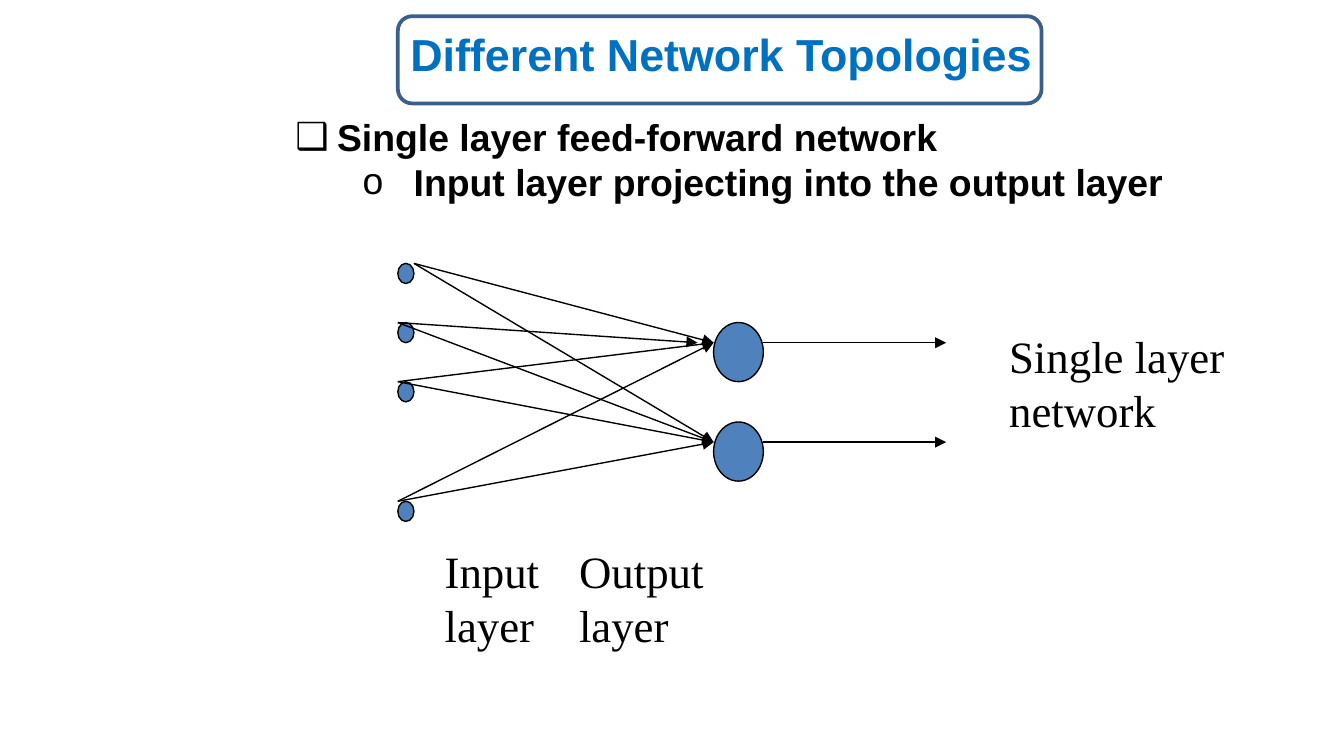
from lxml import etree
from pptx import Presentation
from pptx import util as u
from pptx.dml.color import RGBColor
from pptx.enum import shapes, text
from pptx.oxml.ns import qn


def rgb(value):
    return RGBColor.from_string(value)


class Deck:
    ink = "000000"
    node_fill = "4F81BD"
    frame_line = "3A5F8C"
    title_color = "0070C0"

    def __init__(self, width, height):
        self.prs = Presentation()
        self.prs.slide_width = u.Inches(width)
        self.prs.slide_height = u.Inches(height)
        self.s = self.prs.slides.add_slide(self.prs.slide_layouts[6])

    def shape(self, kind, x, y, w, h, fill=None, line=ink, weight=0.75):
        sp = self.s.shapes.add_shape(kind, *map(u.Inches, (x, y, w, h)))
        sp.shadow.inherit = False
        if fill:
            sp.fill.solid()
            sp.fill.fore_color.rgb = rgb(fill)
        else:
            sp.fill.background()
        sp.line.color.rgb = rgb(line)
        sp.line.width = u.Pt(weight)
        return sp

    def node(self, x, y, w, h):
        return self.shape(shapes.MSO_SHAPE.OVAL, x, y, w, h, self.node_fill)

    def arrow(self, x1, y1, x2, y2):
        c = self.s.shapes.add_connector(
            shapes.MSO_CONNECTOR.STRAIGHT, *map(u.Inches, (x1, y1, x2, y2)))
        c.line.color.rgb = rgb(self.ink)
        c.line.width = u.Pt(0.75)
        spPr = c._element.spPr
        etree.SubElement(spPr.find(qn("a:ln")), qn("a:tailEnd"), type="triangle")
        etree.SubElement(spPr, qn("a:effectLst"))

    def text(self, content, x, y, w, h, size=24, font="Times New Roman",
             color=ink, bold=False, align=text.PP_ALIGN.LEFT,
             anchor=text.MSO_ANCHOR.TOP, wrap=True):
        sp = self.s.shapes.add_textbox(*map(u.Inches, (x, y, w, h)))
        tf = sp.text_frame
        tf.word_wrap = wrap
        tf.vertical_anchor = anchor
        tf.text = content
        for p in tf.paragraphs:
            p.alignment = align
            for r in p.runs:
                r.font.size = u.Pt(size)
                r.font.name = font
                r.font.bold = bold
                r.font.color.rgb = rgb(color)
        return tf

    def indent(self, p, margin, first=0):
        pPr = p._p.get_or_add_pPr()
        pPr.set("marL", str(u.Inches(margin)))
        pPr.set("indent", str(u.Inches(first)))
        return pPr

    def bullet(self, p, char, margin, hanging, level=0):
        p.level = level
        pPr = self.indent(p, margin, -hanging)
        etree.SubElement(pPr, qn("a:buFont"), typeface="Arial")
        etree.SubElement(pPr, qn("a:buChar"), char=char)

    def center_tab(self, p, margin, pos):
        tabs = etree.SubElement(self.indent(p, margin), qn("a:tabLst"))
        etree.SubElement(tabs, qn("a:tab"), pos=str(u.Inches(pos)), algn="ctr")


deck = Deck(10, 5.625)
deck.text("Different Network Topologies", 1.93, 0, 6.87, 0.79, font="Arial",
          color=deck.title_color, bold=True, align=text.PP_ALIGN.CENTER,
          anchor=text.MSO_ANCHOR.MIDDLE)

input_x, input_w, input_h = 2.96, 0.12, 0.15
output_x, output_w, output_h = 5.31, 0.37, 0.44
input_ys = [1.96, 2.4, 2.84, 3.73]
output_ys = [2.4, 3.14]
port_drop = 0.15

for y in output_ys:
    deck.node(output_x, y, output_w, output_h)
    deck.arrow(output_x + output_w, y + port_drop, 7.04, y + port_drop)

for i, y in enumerate(input_ys):
    deck.node(input_x, y, input_w, input_h)
    start_x = input_x + input_w if i == 0 else input_x
    for j, out_y in enumerate(output_ys):
        end_x = output_x - input_w if (i, j) == (1, 0) else output_x
        deck.arrow(start_x, y, end_x, out_y + port_drop)

layers = deck.text("Input\tOutput\nlayer\tlayer", 2.88, 4, 3.48, 0.9)
for p in layers.paragraphs:
    deck.center_tab(p, 0.33, 2.25)
deck.text("Single layer\nnetwork", 7.41, 2.4, 1.88, 0.9, wrap=False)

points = deck.text(
    "Single layer feed-forward network\nInput layer projecting into the output layer",
    2.1, 0.8, 6.7, 0.77, size=20, font="Arial", bold=True, wrap=False)
deck.bullet(points.paragraphs[0], "\u2751", 0.31, 0.31)
deck.bullet(points.paragraphs[1], "o", 0.88, 0.38, level=1)

deck.shape(shapes.MSO_SHAPE.ROUNDED_RECTANGLE, 2.96, 0.12, 4.79, 0.65,
           line=deck.frame_line, weight=2)

deck.prs.save("out.pptx")
